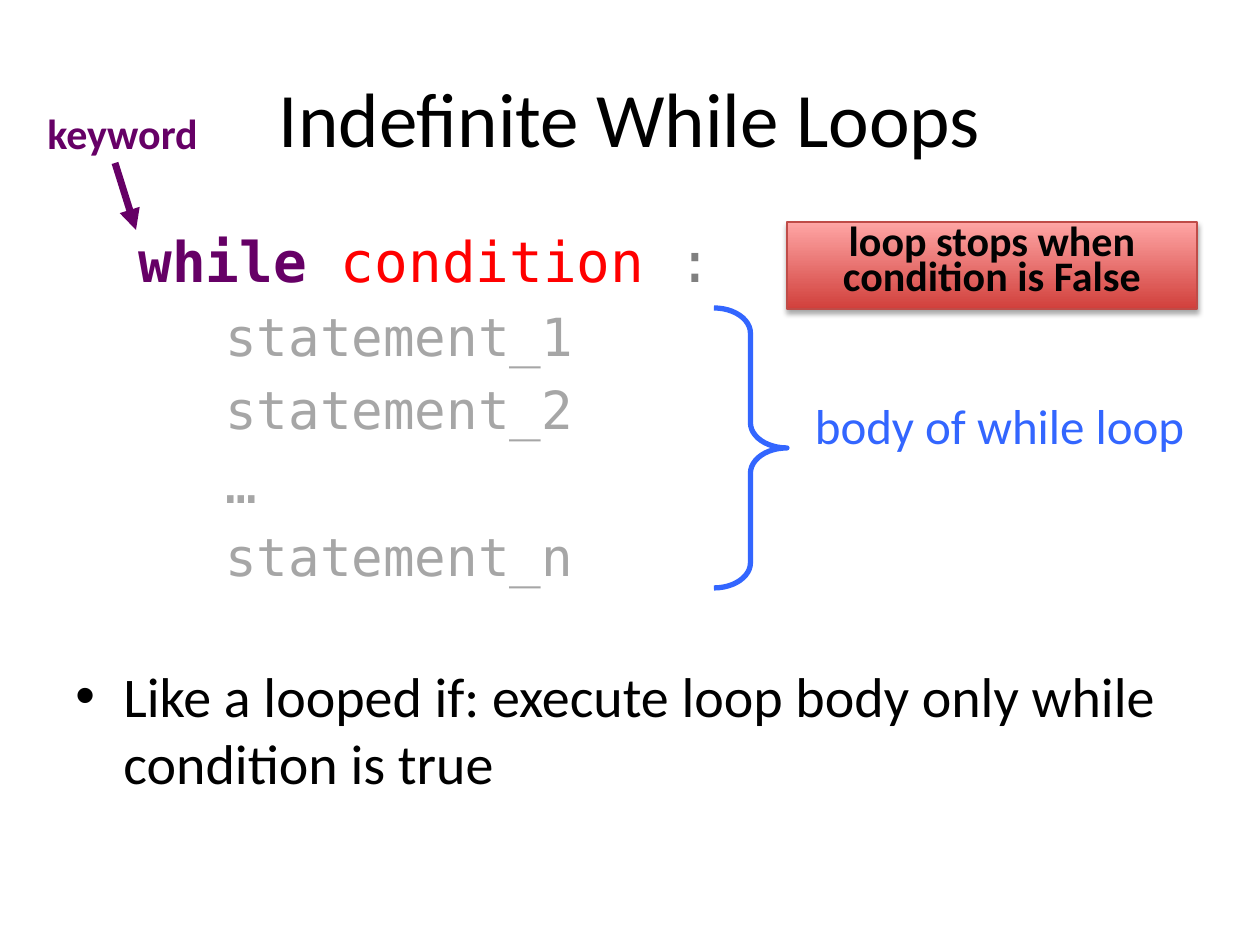
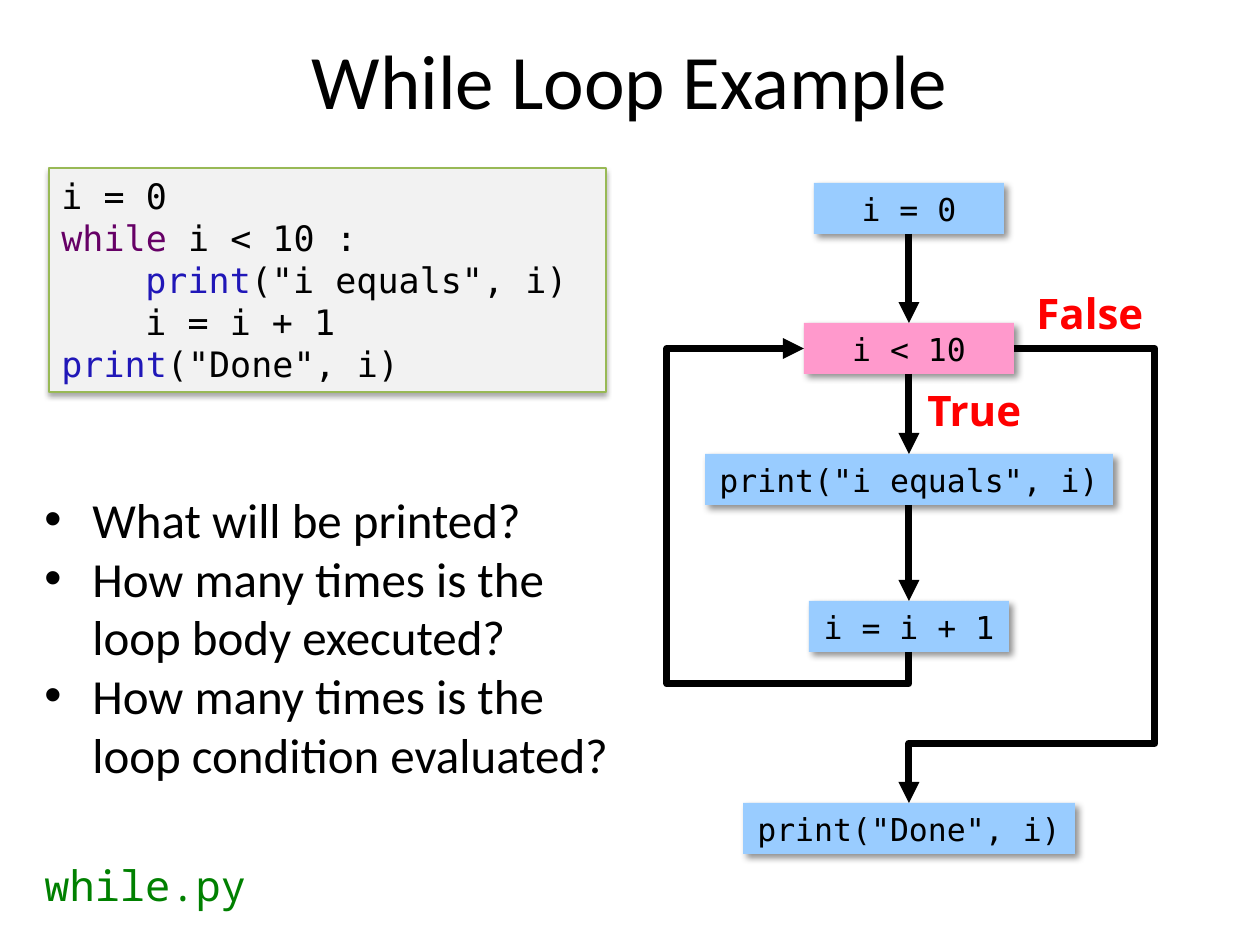
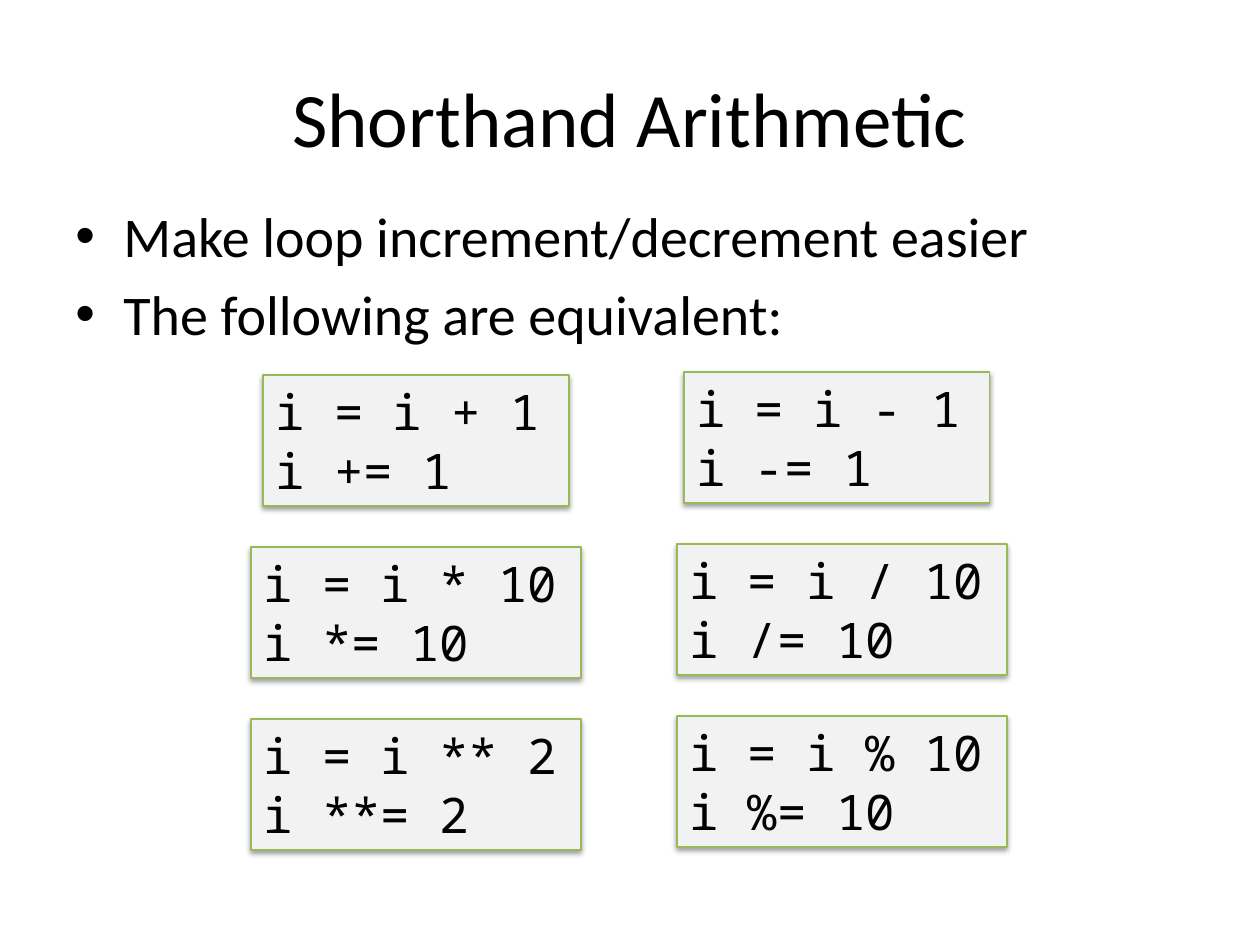
from pptx import Presentation
from pptx.dml.color import RGBColor as Rgb
from pptx.enum.shapes import MSO_CONNECTOR as Link, MSO_SHAPE as Kind
from pptx.enum.text import MSO_ANCHOR as Anchor, PP_ALIGN as Align
from pptx.oxml.ns import qn
from pptx.util import Emu, Pt
from lxml.etree import SubElement as Sub

UNIT = 914400 // 126
SANS, MONO, CODE, LABEL = "Calibri", "DejaVu Sans Mono", "Noto Sans Mono", "Open Sans"
BLACK, INK, RED, PLUM, BLUE = "000000", "020202", "FF0000", "660066", "3366FF"
GRAY, PALE, NAVY, GREEN = "808080", "A6A6A6", "2017B8", "008000"
SKY, PINK, CARD, LIME = "99CCFF", "FF99CC", "F2F2F2", "98B955"
# Shadows: opacity in percent, blur and distance in points, angle
SOFT, FAINT, DROP = (35, 3.1, 1.8, 90), (38, 3.1, 1.6, 90), (43, 4, 3, 45)
HANG = 48


def rgb(hue):
    """Turn a hex string into a colour."""
    return Rgb.from_string(hue)


def px(*nums):
    """Turn pixels into EMU."""
    return [Emu(n * UNIT) for n in nums]


def para(frame, runs, font, size, hue=BLACK, bold=False, align=None,
         gap=0, mar=0, hang=0, dot=False, tight=None):
    """Add a paragraph; a run is a string or (string, colour, bold)."""
    item = frame.paragraphs[0]
    if item.runs:
        item = frame.add_paragraph()
    item.alignment = align or Align.LEFT
    item.space_before = Pt(gap)
    if tight:
        item.line_spacing = tight
    prop = item._p.get_or_add_pPr()
    prop.set("marL", str(mar * UNIT))
    prop.set("indent", str(-hang * UNIT))
    if dot:
        Sub(prop, qn("a:buFont")).set("typeface", "Arial")
        Sub(prop, qn("a:buChar")).set("char", "•")
    for part in [runs] if isinstance(runs, str) else runs:
        word, tint, thick = part if isinstance(part, tuple) else (part, hue, bold)
        run = item.add_run()
        run.text = word
        run.font.name, run.font.size, run.font.bold = font, Pt(size), thick
        run.font.color.rgb = rgb(tint)


def area(slide, box, wrap=True, anchor=Anchor.TOP):
    """Add an empty text box and return its frame."""
    frame = slide.shapes.add_textbox(*px(*box)).text_frame
    frame.word_wrap, frame.vertical_anchor = wrap, anchor
    return frame


def title(slide, text, top=38):
    """Add the centred slide title."""
    frame = area(slide, (63, top, 1134, 157), anchor=Anchor.MIDDLE)
    para(frame, text, SANS, 44, align=Align.CENTER)


def points(slide, box, lines, size, gap=0):
    """Add a bulleted list."""
    frame = area(slide, box)
    for line in lines:
        para(frame, line, SANS, size, gap=gap, mar=HANG, hang=HANG, dot=True)


def shade(shape, look):
    """Give a shape an outer shadow."""
    alpha, blur, dist, turn = look
    shape.shadow.inherit = False
    fx = shape._element.spPr.find(qn("a:effectLst"))
    outer = Sub(fx, qn("a:outerShdw"), blurRad=str(Pt(blur)), dist=str(Pt(dist)),
                dir=str(turn * 60000), algn="ctr", rotWithShape="0")
    tint = Sub(outer, qn("a:srgbClr"), val=BLACK)
    Sub(tint, qn("a:alpha"), val=str(alpha * 1000))


def panel(slide, box, fill, edge=None, look=SOFT, wrap=True, anchor=Anchor.TOP):
    """Add a shadowed rectangle; two fill colours make a gradient going up."""
    shape = slide.shapes.add_shape(Kind.RECTANGLE, *px(*box))
    if isinstance(fill, tuple):
        shape.fill.gradient()
        shape.fill.gradient_angle = 90
        for stop, hue in zip(shape.fill.gradient_stops, fill):
            stop.color.rgb = rgb(hue)
    else:
        shape.fill.solid()
        shape.fill.fore_color.rgb = rgb(fill)
    if edge:
        shape.line.color.rgb, shape.line.width = rgb(edge), Pt(0.75)
    else:
        shape.line.fill.background()
    shade(shape, look)
    shape.text_frame.word_wrap = wrap
    shape.text_frame.vertical_anchor = anchor
    return shape


def arrow(slide, ends=(0, 0, 0, 0), hue=BLACK, kind=Link.STRAIGHT):
    """Add a thick line with an arrowhead at its end."""
    line = slide.shapes.add_connector(kind, *px(*ends))
    line.line.color.rgb, line.line.width = rgb(hue), Pt(4)
    Sub(line.line._get_or_add_ln(), qn("a:tailEnd"), type="triangle")
    Sub(line._element.spPr, qn("a:effectLst"))
    return line


def join(slide, start, end, sites=(2, 0), kind=Link.STRAIGHT):
    """Link two boxes by their connection sites."""
    line = arrow(slide, kind=kind)
    line.begin_connect(start, sites[0])
    line.end_connect(end, sites[1])
    return line


def bend(slide, start, end, sites, out, far, turn=False):
    """Link two boxes by three bends: leave by out, then run as far as far."""
    line = join(slide, start, end, sites, Link.ELBOW)
    wide, high = line.width, line.height
    prop = line._element.spPr
    if turn:
        line.left, line.top = line.left + (wide - high) // 2, line.top + (high - wide) // 2
        wide, high = high, wide
        line.width, line.height = wide, high
        frame = prop.find(qn("a:xfrm"))
        frame.set("rot", "5400000")
        frame.set("flipV", "0")
    geom = prop.find(qn("a:prstGeom"))
    geom.set("prst", "bentConnector4")
    guide = geom.find(qn("a:avLst"))
    for name, part in (("adj1", -out * UNIT / wide), ("adj2", far * UNIT / high)):
        Sub(guide, qn("a:gd"), name=name, fmla=f"val {round(part * 100000)}")


def syntax(slide, box):
    """Show the form of a while loop with its notes."""
    x, y, w, h = box
    frame = area(slide, box)
    para(frame, [("while ", PLUM, True), ("condition ", RED, False), ":"],
         MONO, 32, GRAY, gap=6.4, mar=102, hang=39)
    for line in ("statement_1", "statement_2", "…", "statement_n"):
        para(frame, line, MONO, 30, PALE, gap=6, mar=181, hang=31)

    brace = slide.shapes.add_shape(Kind.RIGHT_BRACE, *px(x + 651, y + 88, 73, 280))
    brace.adjustments[0] = 0.345
    brace.fill.background()
    brace.line.color.rgb, brace.line.width = rgb(BLUE), Pt(3)
    brace.shadow.inherit = False
    note = area(slide, (x + 737, y + 169, 399, 72), False, Anchor.MIDDLE)
    para(note, "body of while loop", SANS, 28, BLUE, align=Align.CENTER)

    word = area(slide, (x - 28, y - 119, 179, 63), False)
    para(word, "keyword", SANS, 24, PLUM, True)
    arrow(slide, (x + 52, y - 57, x + 73, y + 10), PLUM)

    stop = panel(slide, (x + 724, y + 2, 410, 87), ("D1403C", "FFA6A5"), "BF4C48")
    para(stop.text_frame, "loop stops when condition is False", SANS, 24, INK, True,
         Align.CENTER, tight=0.7)


def sample(slide, box):
    """Show the example program."""
    frame = panel(slide, box, CARD, LIME).text_frame
    call = ("print", NAVY, False)
    for runs, mar in (("i = 0", 0),
                      ([("while ", PLUM, False), "i < 10 :"], 0),
                      ([call, '("i equals", i)'], 84),
                      ("i = i + 1", 84),
                      ([call, '("Done", i)'], 0)):
        para(frame, runs, MONO, 20, mar=mar)


def flow(slide, box):
    """Draw the flow chart of the loop around the middle of its box."""
    x, y, w, h = box
    mid = x + w // 2
    steps = []
    for text, top, wide, hue in (("i = 0", 0, 190, SKY),
                                 ("i < 10", 140, 210, PINK),
                                 ('print("i equals", i)', 271, 408, SKY),
                                 ("i = i + 1", 418, 200, SKY),
                                 ('print("Done", i)', 620, 332, SKY)):
        step = panel(slide, (mid - wide // 2, y + top, wide, 51), hue, look=DROP,
                     wrap=False, anchor=Anchor.MIDDLE)
        para(step.text_frame, text, MONO, 18, align=Align.CENTER)
        steps.append(step)
    for upper, lower in zip(steps[:3], steps[1:4]):
        join(slide, upper, lower)
    test, grow, done = steps[1], steps[3], steps[4]
    bend(slide, grow, test, (2, 1), 32, 242, turn=True)
    bend(slide, test, done, (3, 0), 141, 395)
    for text, left, top, wide in (("True", 6, 195, 122), ("False", 115, 98, 135)):
        frame = area(slide, (mid + left, y + top, wide, 63), False)
        para(frame, text, LABEL, 24, RED, True)


def pairs(slide, box):
    """Show the long and short forms in two columns of cards."""
    x, y, w, h = box
    step = 172
    columns = (
        (3, (12, 0, 0), (("i = i + 1", "i += 1"), ("i = i * 10", "i *= 10"),
                         ("i = i ** 2", "i **= 2"))),
        (0, (433, 426, 426), (("i = i - 1", "i -= 1"), ("i = i / 10", "i /= 10"),
                              ("i = i % 10", "i %= 10"))))
    for drop, lefts, cards in columns:
        for row, (left, card) in enumerate(zip(lefts, cards)):
            wide = 330 if row else 306
            place = (x + left, y + drop + row * step, wide, 131)
            frame = panel(slide, place, CARD, LIME, FAINT).text_frame
            for line in card:
                para(frame, line, CODE, 28, INK)


def main():
    """Build the three slides."""
    deck = Presentation()
    deck.slide_width, deck.slide_height = px(1260, 945)
    form, demo, short = [deck.slides.add_slide(deck.slide_layouts[6]) for _ in range(3)]

    title(form, "Indefinite While Loops")
    syntax(form, (63, 220, 1134, 435))
    points(form, (63, 655, 1164, 242),
           ["Like a looped if: execute loop body only while condition is true"], 32, 6.4)

    title(demo, "While Loop Example", 0)
    sample(demo, (49, 168, 557, 224))
    points(demo, (32, 483, 591, 310),
           ["What will be printed?", "How many times is the loop body executed?",
            "How many times is the loop condition evaluated?"], 28)
    flow(demo, (663, 183, 492, 671))
    para(area(demo, (32, 853, 229, 63), False), "while.py", CODE, 24, GREEN)

    title(short, "Shorthand Arithmetic")
    points(short, (63, 195, 1134, 222),
           ["Make loop increment/decrement easier", "The following are equivalent:"], 32, 6.4)
    pairs(short, (251, 372, 756, 478))

    deck.save("out.pptx")


main()
